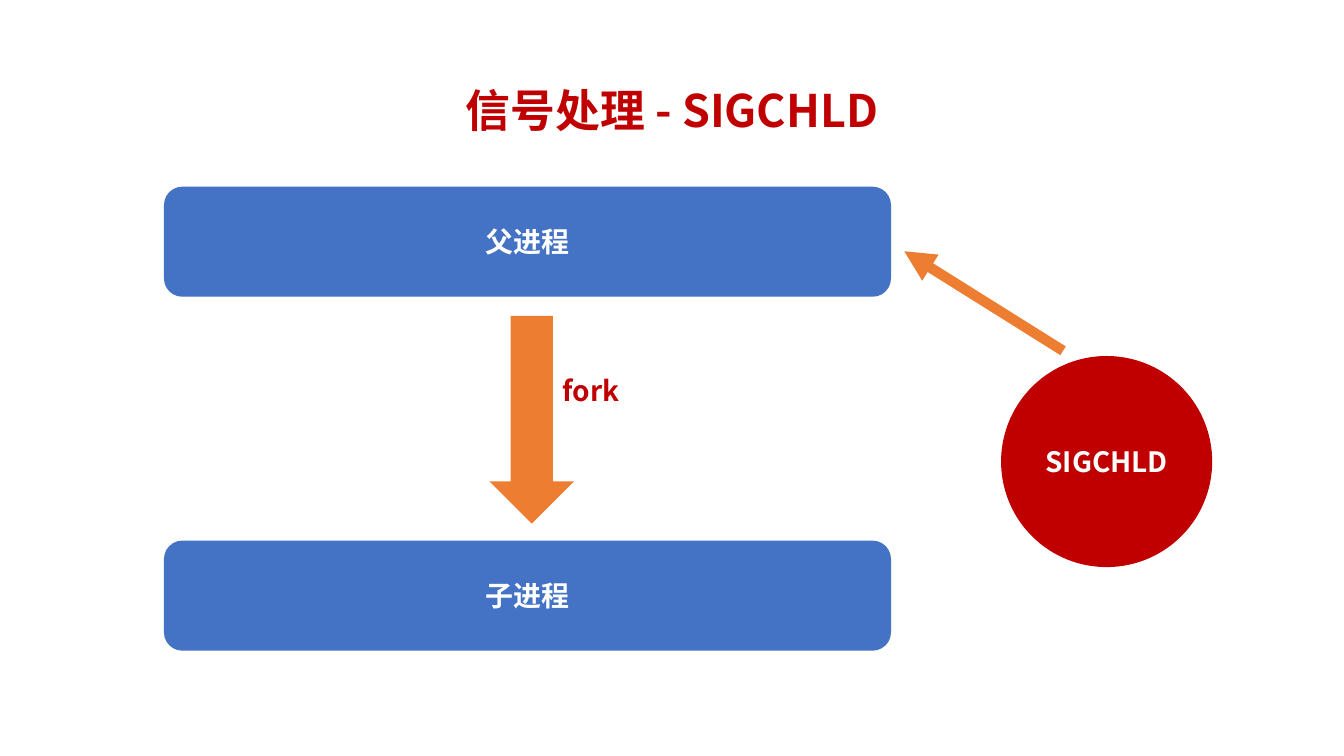
"""Build the SIGCHLD signal handling slide."""
from lxml.etree import SubElement
from pptx import Presentation
from pptx.dml.color import RGBColor
from pptx.enum.shapes import MSO_CONNECTOR as CONN, MSO_SHAPE as SHAPE
from pptx.enum.text import MSO_ANCHOR as ANCHOR, PP_ALIGN as ALIGN
from pptx.oxml.ns import qn
from pptx.util import Cm, Pt

FONT = "Noto Sans CJK SC"
BLUE, ORANGE, RED, WHITE = "4472C4", "ED7D31", "C00000", "FFFFFF"


def rgb(value):
    return RGBColor.from_string(value)


def write(sp, text, size, color, align, anchor):
    tf = sp.text_frame
    tf.word_wrap = True
    tf.vertical_anchor = anchor
    p = tf.paragraphs[0]
    p.text = text
    p.alignment = align
    p.font.size = Pt(size)
    p.font.bold = True
    p.font.color.rgb = rgb(color)
    p.font.name = FONT
    props = p._p.pPr.find(qn("a:defRPr"))
    SubElement(props, qn("a:ea")).set("typeface", FONT)
    return p


prs = Presentation()
prs.slide_width, prs.slide_height = Cm(25.4), Cm(14.29)
s = prs.slides.add_slide(prs.slide_layouts[6])

title = s.shapes.add_textbox(Cm(1.75), Cm(0.76), Cm(21.9), Cm(2.77))
p = write(title, "信号处理 - SIGCHLD", 24, RED, ALIGN.CENTER, ANCHOR.MIDDLE)
p.line_spacing = 0.9

for kind, x, y, w, h, fill, text in [
    (SHAPE.ROUNDED_RECTANGLE, 3.1, 3.53, 13.74, 2.08, BLUE, "父进程"),
    (SHAPE.ROUNDED_RECTANGLE, 3.1, 10.22, 13.74, 2.08, BLUE, "子进程"),
    (SHAPE.DOWN_ARROW, 9.25, 5.97, 1.6, 3.93, ORANGE, ""),
    (SHAPE.OVAL, 18.92, 6.73, 3.99, 3.99, RED, "SIGCHLD"),
]:
    sp = s.shapes.add_shape(kind, Cm(x), Cm(y), Cm(w), Cm(h))
    sp.shadow.inherit = False
    sp.fill.solid()
    sp.fill.fore_color.rgb = rgb(fill)
    sp.line.fill.background()
    if text:
        tf = sp.text_frame
        tf.margin_left = tf.margin_right = Cm(0.19)
        tf.margin_top = tf.margin_bottom = Cm(0.1)
        write(sp, text, 15, WHITE, ALIGN.CENTER, ANCHOR.MIDDLE)

label = s.shapes.add_textbox(Cm(10.39), Cm(6.93), Cm(2.69), Cm(0.89))
write(label, "fork", 15, RED, ALIGN.LEFT, ANCHOR.TOP)

signal = s.shapes.add_connector(CONN.STRAIGHT, Cm(20.09), Cm(6.63), Cm(17.09), Cm(4.75))
signal.line.color.rgb = rgb(ORANGE)
signal.line.width = Pt(5.5)
SubElement(signal.line._get_or_add_ln(), qn("a:tailEnd")).set("type", "triangle")
SubElement(signal._element.spPr, qn("a:effectLst"))

prs.save("out.pptx")
